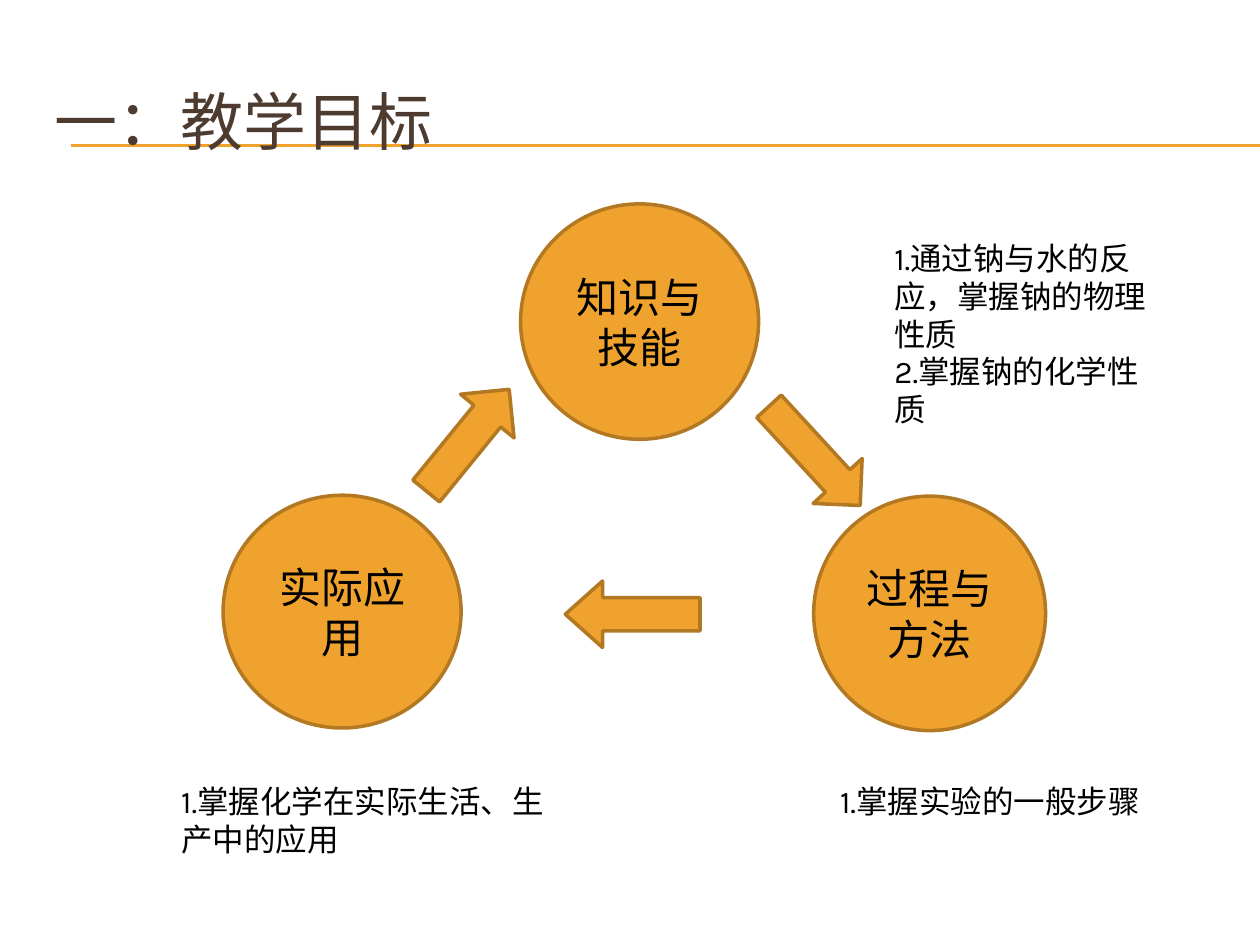
from dataclasses import dataclass

from lxml.etree import SubElement
from pptx import Presentation
from pptx.dml.color import RGBColor
from pptx.enum.shapes import MSO_CONNECTOR, MSO_SHAPE
from pptx.enum.text import MSO_ANCHOR, MSO_AUTO_SIZE, PP_ALIGN
from pptx.oxml.ns import qn
from pptx.util import Pt


@dataclass(frozen=True)
class Theme:
    font: str = "Karla"
    gold: RGBColor = RGBColor(0xF0, 0xA2, 0x2E)
    edge: RGBColor = RGBColor(0xB2, 0x78, 0x22)
    brown: RGBColor = RGBColor(0x4E, 0x3B, 0x30)
    black: RGBColor = RGBColor(0, 0, 0)
    head: int = 36
    label: int = 24
    note: int = 18


THEME = Theme()

GOALS = [
    ("知识与技能", (297.5, 116.5, 136, 134.5)),
    ("过程与方法", (465, 283.5, 132.5, 134)),
    ("实际应用", (127.5, 283, 136, 133)),
]
# box, rotation, head length relative to width
ARROWS = [
    ((446.5, 222, 38, 77), 317.4, 0.5),
    ((342.5, 312.5, 38, 77), 90, 0.56),
    ((247.5, 214, 39.5, 75), 219.2, 0.5),
]
NOTES = [
    ("1.通过钠与水的反应，掌握钠的物理性质\n2.掌握钠的化学性质", (504, 133, 158.5, 116.5), True),
    ("1.掌握实验的一般步骤", (473, 443.5, 193, 29), False),
    ("1.掌握化学在实际生活、生产中的应用", (96.5, 443.5, 227, 51), True),
]


def points(box):
    return [Pt(n) for n in box]


def write(frame, text, size, color, align=PP_ALIGN.LEFT):
    frame.text = text
    for para in frame.paragraphs:
        para.alignment = align
        for run in para.runs:
            run.font.name = THEME.font
            run.font.size = Pt(size)
            run.font.color.rgb = color


def add_rule(slide, top):
    rule = slide.shapes.add_connector(
        MSO_CONNECTOR.STRAIGHT, Pt(40.5), Pt(top), Pt(720), Pt(top))
    rule.line.color.rgb = THEME.gold
    rule.line.width = Pt(0.75)
    SubElement(rule.element.spPr, qn("a:effectLst"))


def add_title(slide, text):
    """Fill the title and lift it above the rules."""
    title = slide.shapes.title
    title.left, title.top, title.width, title.height = points((24, 36, 684, 66))
    frame = title.text_frame
    frame.auto_size = MSO_AUTO_SIZE.NONE
    frame.vertical_anchor = MSO_ANCHOR.MIDDLE
    write(frame, text, THEME.head, THEME.brown)
    title.element.getparent().append(title.element)


def add_solid(slide, kind, box):
    shape = slide.shapes.add_shape(kind, *points(box))
    shape.shadow.inherit = False
    shape.fill.solid()
    shape.fill.fore_color.rgb = THEME.gold
    shape.line.color.rgb = THEME.edge
    shape.line.width = Pt(2)
    return shape


def add_goal(slide, text, box):
    frame = add_solid(slide, MSO_SHAPE.OVAL, box).text_frame
    frame.vertical_anchor = MSO_ANCHOR.MIDDLE
    write(frame, text, THEME.label, THEME.black, PP_ALIGN.CENTER)


def add_arrow(slide, box, turn, tip):
    arrow = add_solid(slide, MSO_SHAPE.DOWN_ARROW, box)
    arrow.rotation = turn
    arrow.adjustments[1] = tip


def add_note(slide, text, box, wrap):
    frame = slide.shapes.add_textbox(*points(box)).text_frame
    frame.word_wrap = wrap
    frame.auto_size = MSO_AUTO_SIZE.SHAPE_TO_FIT_TEXT
    write(frame, text, THEME.note, THEME.black)


def main():
    deck = Presentation()
    deck.slide_width, deck.slide_height = Pt(720), Pt(540)
    slide = deck.slides.add_slide(deck.slide_layouts.get_by_name("Title Only"))
    for top in (82.8, 82.8, 83.5):
        add_rule(slide, top)
    add_title(slide, "一：教学目标")
    for goal in GOALS:
        add_goal(slide, *goal)
    for arrow in ARROWS:
        add_arrow(slide, *arrow)
    for note in NOTES:
        add_note(slide, *note)
    deck.save("out.pptx")


if __name__ == "__main__":
    main()
